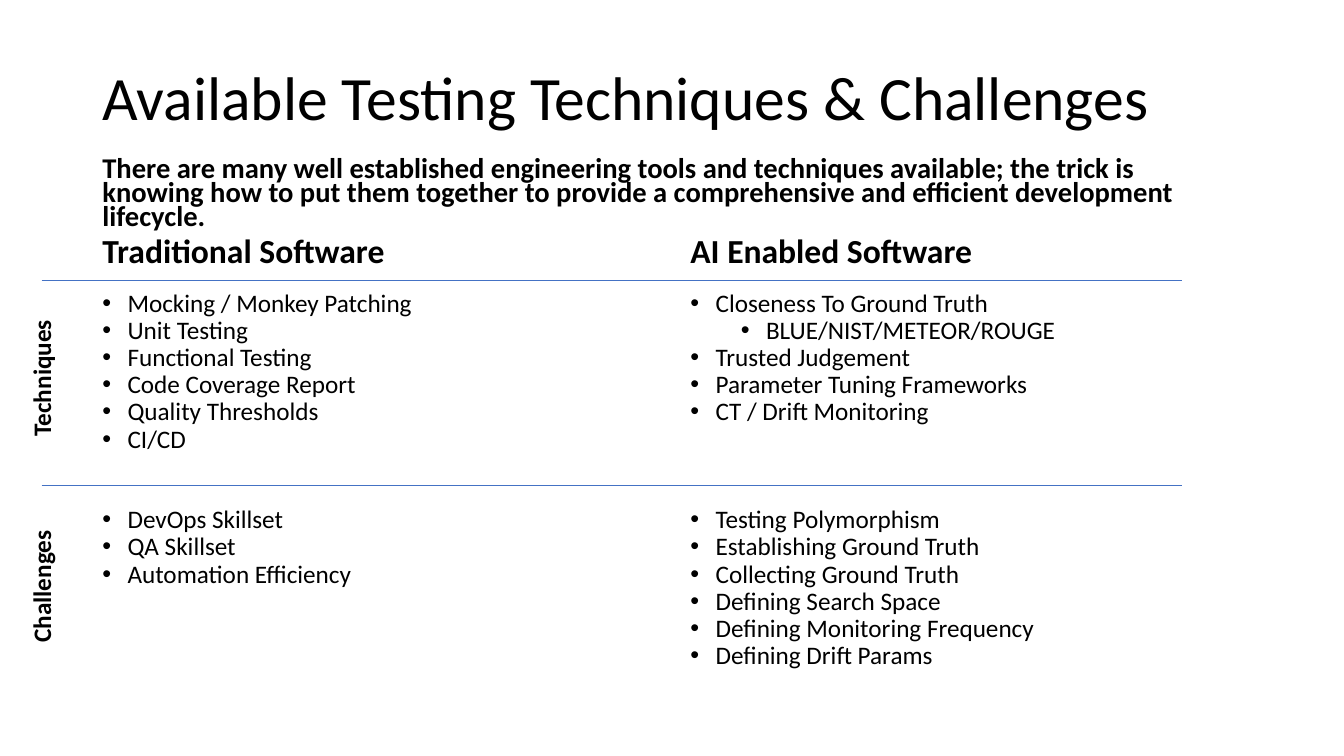
import pptx
import pptx.util
import pptx.dml.color
import pptx.enum.shapes
import pptx.enum.text
import lxml.etree
from pptx.util import Cm, Pt

COLORS = {"text": "000000", "rule": "4472C4"}
FONT = "Calibri"
LEFT, RIGHT = 2.33, 17.15
WIDE = 14.35
ANCHOR = pptx.enum.text.MSO_ANCHOR
ALIGN = pptx.enum.text.PP_ALIGN

TECHNIQUES = (
    (LEFT, ["Mocking / Monkey Patching", "Unit Testing", "Functional Testing",
            "Code Coverage Report", "Quality Thresholds", "CI/CD"]),
    (RIGHT, ["Closeness To Ground Truth", ("BLUE/NIST/METEOR/ROUGE", 1),
             "Trusted Judgement", "Parameter Tuning Frameworks",
             "CT / Drift Monitoring"]),
)
CHALLENGES = (
    (LEFT, ["DevOps Skillset", "QA Skillset", "Automation Efficiency"]),
    (RIGHT, ["Testing Polymorphism", "Establishing Ground Truth",
             "Collecting Ground Truth", "Defining Search Space",
             "Defining Monitoring Frequency", "Defining Drift Params"]),
)
ROWS = (
    ("Techniques", 7.06, 7.19, 9.53, TECHNIQUES),
    ("Challenges", 12.22, 12.65, 14.78, CHALLENGES),
)


def color(name):
    return pptx.dml.color.RGBColor.from_string(COLORS[name])


def add_box(slide, left, top, width, height, anchor=ANCHOR.TOP):
    box = slide.shapes.add_textbox(Cm(left), Cm(top), Cm(width), Cm(height))
    box.text_frame.word_wrap = True
    box.text_frame.vertical_anchor = anchor
    return box


def style(para, size, bold=False, spacing=0.9, before=0):
    para.font.name = FONT
    para.font.size = Pt(size)
    para.font.bold = bold
    para.font.color.rgb = color("text")
    para.line_spacing = spacing
    para.space_before = Pt(before)


def add_text(box, text, size, **look):
    para = box.text_frame.paragraphs[0]
    para.text = text
    style(para, size, **look)
    return para


def add_bullet(para, level):
    para.level = level
    props = para._p.get_or_add_pPr()
    props.set("marL", str(Cm(0.635 + 1.27 * level)))
    props.set("indent", str(-Cm(0.635)))
    space = pptx.oxml.ns.qn
    lxml.etree.SubElement(props, space("a:buFont")).set("typeface", "Arial")
    lxml.etree.SubElement(props, space("a:buChar")).set("char", "•")


def add_list(slide, left, top, items):
    frame = add_box(slide, left, top, WIDE, 5.03).text_frame
    for index, item in enumerate(items):
        text, level = (item, 0) if isinstance(item, str) else item
        para = frame.paragraphs[0] if index == 0 else frame.add_paragraph()
        para.text = text
        style(para, 18)
        add_bullet(para, level)
        props = para._p.get_or_add_pPr()
        fonts = props.find(pptx.oxml.ns.qn("a:defRPr"))
        if fonts is not None:
            props.append(fonts)


def add_label(slide, text, top):
    box = add_box(slide, -0.81, top, 3.7, 1.02)
    box.rotation = 270
    add_text(box, text, 18, bold=True, spacing=1.0).alignment = ALIGN.CENTER


def add_rule(slide, top):
    kind = pptx.enum.shapes.MSO_CONNECTOR.STRAIGHT
    rule = slide.shapes.add_connector(kind, Cm(1.05), Cm(top), Cm(29.8), Cm(top))
    rule.line.color.rgb = color("rule")
    rule.line.width = Pt(0.5)
    effects = pptx.oxml.ns.qn("a:effectLst")
    lxml.etree.SubElement(rule._element.spPr, effects)


def main():
    deck = pptx.Presentation()
    deck.slide_width, deck.slide_height = Cm(33.87), Cm(19.05)
    slide = deck.slides.add_slide(deck.slide_layouts[6])

    title = add_box(slide, LEFT, 1.02, 29.21, 2.49, ANCHOR.BOTTOM)
    add_text(title, "Available Testing Techniques & Challenges", 44)

    intro = add_box(slide, LEFT, 3.89, 29.21, 1.6)
    intro.text_frame.margin_right = Cm(0.6)
    add_text(
        intro,
        "There are many well established engineering tools and techniques "
        "available; the trick is knowing how to put them together to provide "
        "a comprehensive and efficient development lifecycle.",
        20.4, bold=True, spacing=0.7, before=10)

    for left, text in ((LEFT, "Traditional Software"), (RIGHT, "AI Enabled Software")):
        head = add_box(slide, left, 5.59, WIDE, 1.35, ANCHOR.BOTTOM)
        add_text(head, text, 24, bold=True, before=10)

    for name, line, top, side, lists in ROWS:
        add_rule(slide, line)
        add_label(slide, name, side - 0.51)
        for left, items in lists:
            add_list(slide, left, top, items)

    deck.save("out.pptx")


if __name__ == "__main__":
    main()
